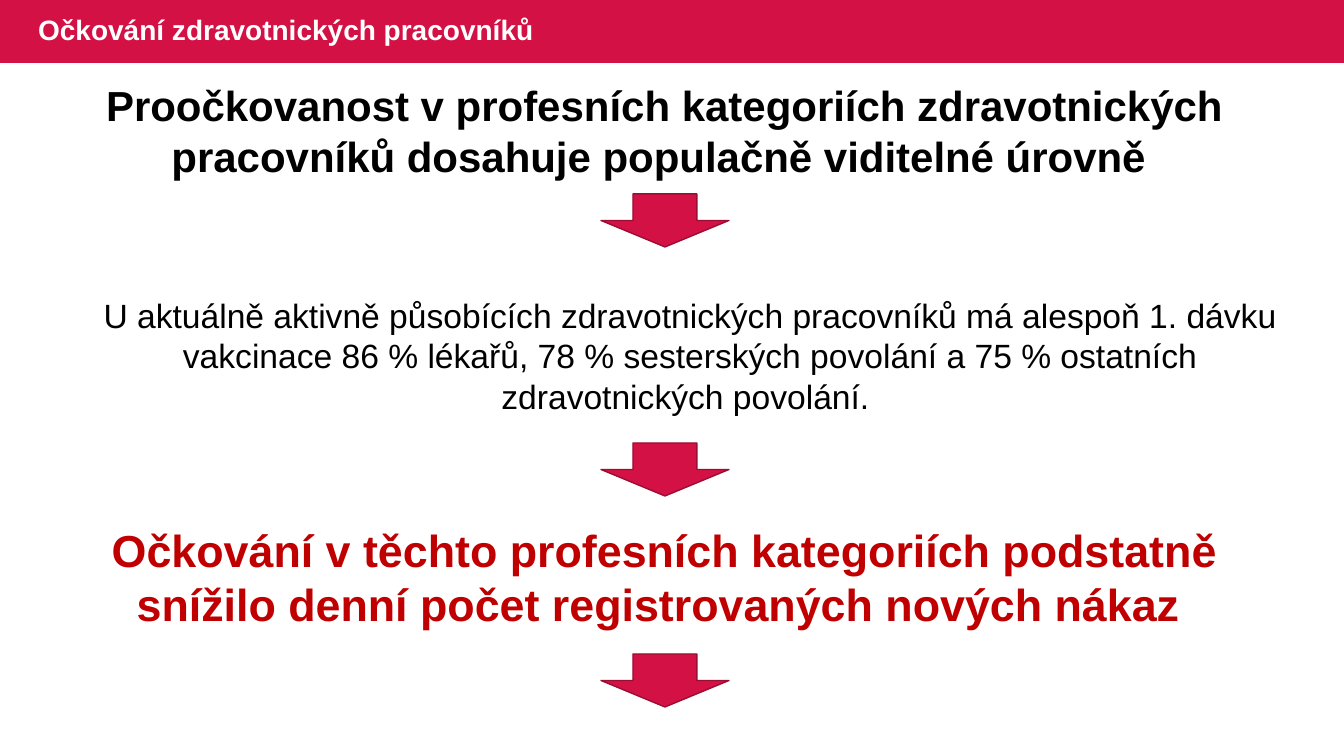
from dataclasses import dataclass

from pptx import Presentation
from pptx.dml.color import RGBColor
from pptx.enum.shapes import MSO_SHAPE as Preset
from pptx.enum.text import MSO_ANCHOR as Anchor, MSO_AUTO_SIZE as AutoSize, PP_ALIGN as Align
from pptx.util import Emu, Pt

SLIDE_WIDTH, SLIDE_HEIGHT = 1344, 756
EMU_PER_PX = 12192000 / SLIDE_WIDTH
FONT = "Arial"
COLORS = {
    "crimson": "D31145",
    "crimson_edge": "9C0D33",
    "white": "FFFFFF",
    "black": "000000",
    "red": "C00000",
}
BAND_HEIGHT = 63
ARROW_LEFT, ARROW_WIDTH, ARROW_HEIGHT = 601, 128, 53


@dataclass(frozen=True)
class Statement:
    text: str
    left: int
    top: int
    width: int
    height: int
    size: int
    color: str
    bold: bool
    arrow_top: int


STATEMENTS = [
    Statement(
        "Proočkovanost v profesních kategoriích zdravotnických pracovníků "
        "dosahuje populačně viditelné úrovně ",
        48, 75, 1234, 112, 30, "black", True, 194),
    Statement(
        "U aktuálně aktivně působících zdravotnických pracovníků má alespoň "
        "1. dávku vakcinace 86 % lékařů, 78 % sesterských povolání a 75 % "
        "ostatních zdravotnických povolání. ",
        78, 290, 1224, 132, 24, "black", False, 443),
    Statement(
        "Očkování v těchto profesních kategoriích podstatně snížilo denní "
        "počet registrovaných nových nákaz ",
        48, 518, 1234, 119, 32, "red", True, 654),
]


def px(length: int) -> Emu:
    return Emu(round(length * EMU_PER_PX))


def rgb(name: str) -> RGBColor:
    return RGBColor.from_string(COLORS[name])


def style_paragraph(paragraph, size: int, color: str, bold: bool, align: Align) -> None:
    paragraph.alignment = align
    font = paragraph.font
    font.name, font.size, font.bold = FONT, Pt(size), bold
    font.color.rgb = rgb(color)


def add_crimson_shape(slide, preset: Preset, left: int, top: int, width: int, height: int):
    shape = slide.shapes.add_shape(preset, px(left), px(top), px(width), px(height))
    shape.shadow.inherit = False
    shape.fill.solid()
    shape.fill.fore_color.rgb = rgb("crimson")
    return shape


def add_header(slide, text: str) -> None:
    title = slide.shapes.title
    band = add_crimson_shape(slide, Preset.RECTANGLE, 0, 0, SLIDE_WIDTH, BAND_HEIGHT)
    band.line.fill.background()
    title.element.addprevious(band.element)  # band lies behind the title

    title.left, title.top = px(28), px(0)
    title.width, title.height = px(820), px(BAND_HEIGHT)
    frame = title.text_frame
    frame.text = text
    frame.auto_size = AutoSize.NONE
    frame.vertical_anchor = Anchor.MIDDLE
    heading = frame.paragraphs[0]
    heading.line_spacing = 0.9
    style_paragraph(heading, 20, "white", True, Align.LEFT)


def add_statement(slide, statement: Statement) -> None:
    box = slide.shapes.add_textbox(
        px(statement.left), px(statement.top), px(statement.width), px(statement.height))
    frame = box.text_frame
    frame.word_wrap = True
    frame.auto_size = AutoSize.SHAPE_TO_FIT_TEXT
    frame.text = statement.text
    style_paragraph(
        frame.paragraphs[0], statement.size, statement.color, statement.bold, Align.CENTER)

    arrow = add_crimson_shape(
        slide, Preset.DOWN_ARROW, ARROW_LEFT, statement.arrow_top, ARROW_WIDTH, ARROW_HEIGHT)
    arrow.line.color.rgb = rgb("crimson_edge")
    arrow.line.width = Pt(1)


def main() -> None:
    presentation = Presentation()
    presentation.slide_width = px(SLIDE_WIDTH)
    presentation.slide_height = px(SLIDE_HEIGHT)
    title_only = presentation.slide_layouts[5]
    slide = presentation.slides.add_slide(title_only)

    # Header band with title
    add_header(slide, "Očkování zdravotnických pracovníků")

    # Chain of statements, each followed by an arrow
    for statement in STATEMENTS:
        add_statement(slide, statement)

    presentation.save("out.pptx")


if __name__ == "__main__":
    main()
